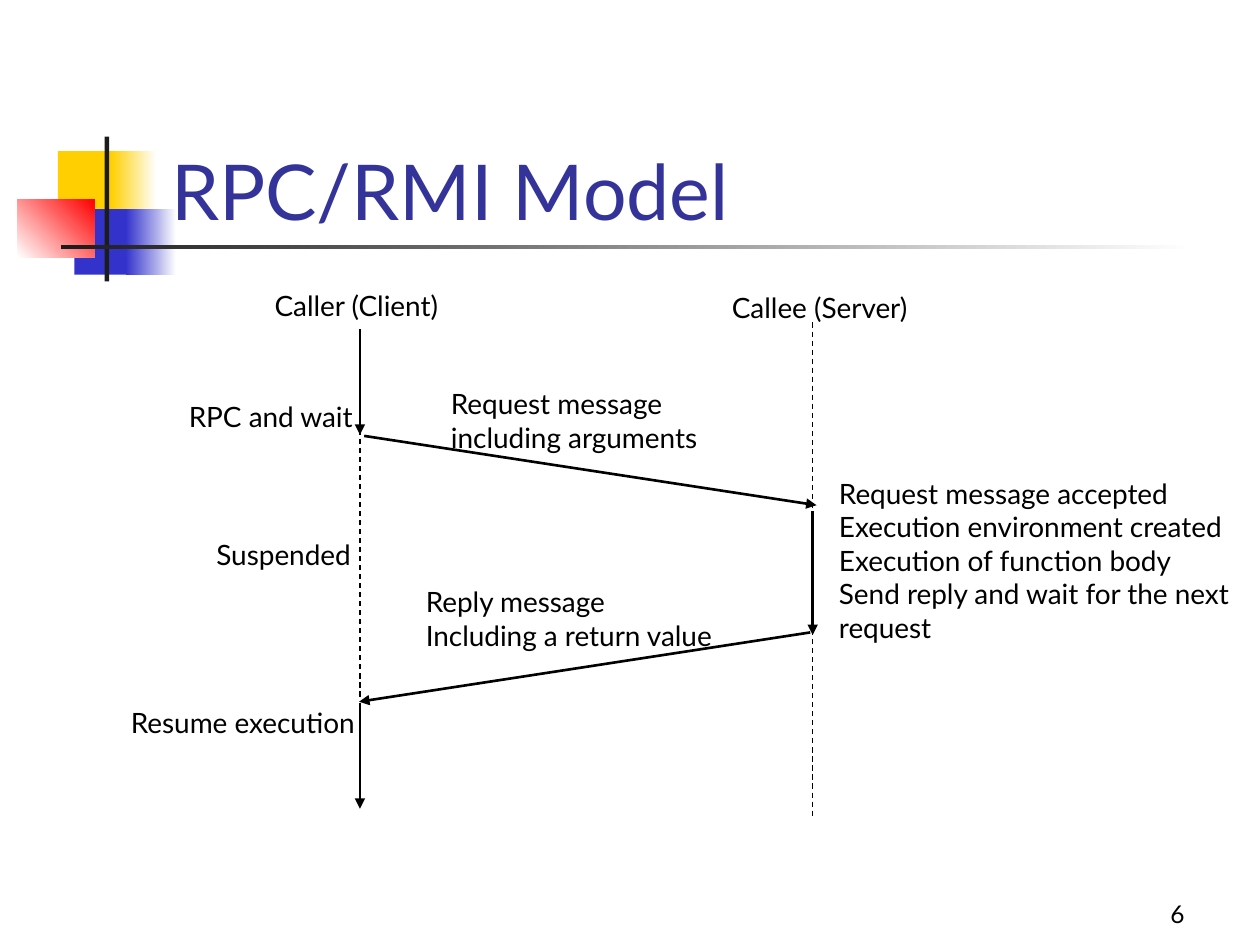
from pptx import Presentation
from pptx.dml.color import RGBColor
from pptx.enum.dml import MSO_LINE as Dash
from pptx.enum.shapes import MSO_CONNECTOR as Conn, MSO_SHAPE as Shape
from pptx.enum.text import MSO_ANCHOR as Anchor, PP_ALIGN as Align
from pptx.oxml.ns import qn
from pptx.util import Pt
from lxml.etree import SubElement

FONT = "Lato"
BLACK = RGBColor(0x00, 0x00, 0x00)
WHITE = RGBColor(0xFF, 0xFF, 0xFF)
INK = RGBColor(0x1C, 0x1C, 0x1C)
GOLD = RGBColor(0xFF, 0xCF, 0x01)
BLUE = RGBColor(0x33, 0x33, 0xCC)
RED = RGBColor(0xFF, 0x00, 0x00)
NAVY = RGBColor(0x33, 0x33, 0x99)

# Corner ornament: left, top, width, height, colours, gradient angle
BLOCKS = [
    (33.1, 86.4, 34.6, 37.4, [GOLD], 0),
    (63.4, 86.4, 25.9, 37.4, [GOLD, WHITE], 0),
    (42.5, 119.5, 33.1, 37.4, [BLUE], 0),
    (72, 119.5, 28.8, 37.4, [BLUE, WHITE], 0),
    (10.1, 113.8, 43.9, 33.1, [WHITE, RED], 45),
    (59.8, 78, 2.6, 82.8, [INK], 0),
    (34.8, 140, 648, 2.6, [INK, WHITE], 0),
]

# Time axes of the two parties
CALLER, CALLEE = 205.7, 464.4

# Lines: start x, y, end x, y
SOLID = [
    (CALLER, 187.9, CALLER, 248.4),
    (CALLER, 401.8, CALLER, 462.2),
    (CALLEE, 292.3, CALLEE, 362.9),
    (208.1, 249.1, 466.6, 288.7),
    (463, 361.4, 205.2, 401),
]
DASHED = [
    (CALLER, 245.5, CALLER, 398.2),
    (CALLEE, 184.3, CALLEE, 291.6),
    (CALLEE, 360, CALLEE, 467.3),
]

# Labels: left, top, width, lines
LABELS = [
    (149.8, 161.3, 113.8, ["Caller (Client)"]),
    (411.1, 162.7, 121, ["Callee (Server)"]),
    (100.8, 224.6, 112.3, ["RPC and wait"]),
    (250.6, 217.4, 169.9, ["Request message", "including arguments"]),
    (236.2, 330.5, 193.7, ["Reply message", "Including a return value"]),
    (116.6, 303.8, 97.9, ["Suspended"]),
    (67.7, 399.6, 151.9, ["Resume execution"]),
    (472.3, 268.6, 253.4, [
        "Request message accepted",
        "Execution environment created",
        "Execution of function body",
        "Send reply and wait for the next",
        "request",
    ]),
]

deck = Presentation()
deck.slide_width, deck.slide_height = Pt(720), Pt(540)
slide = deck.slides.add_slide(deck.slide_layouts[6])
shapes = slide.shapes


def add_block(x, y, w, h, tones, angle):
    block = shapes.add_shape(Shape.RECTANGLE, Pt(x), Pt(y), Pt(w), Pt(h))
    block.shadow.inherit = False
    block.line.fill.background()
    fill = block.fill
    if len(tones) == 1:
        fill.solid()
        fill.fore_color.rgb = tones[0]
    else:
        fill.gradient()
        fill.gradient_angle = angle
        for stop, tone in zip(fill.gradient_stops, tones):
            stop.color.rgb = tone


def add_line(x1, y1, x2, y2, solid):
    link = shapes.add_connector(Conn.STRAIGHT, Pt(x1), Pt(y1), Pt(x2), Pt(y2))
    link.line.color.rgb = BLACK
    link.line.width = Pt(1.5 if solid else 0.75)
    if solid:
        SubElement(link.line._get_or_add_ln(), qn("a:tailEnd"), type="triangle")
    else:
        link.line.dash_style = Dash.DASH
    SubElement(link._element.spPr, qn("a:effectLst"))


def add_text(x, y, w, h, lines, size=16, color=BLACK, align=Align.LEFT,
             anchor=Anchor.TOP):
    frame = shapes.add_textbox(Pt(x), Pt(y), Pt(w), Pt(h)).text_frame
    frame.word_wrap = True
    frame.vertical_anchor = anchor
    frame.text = "\n".join(lines)
    for para in frame.paragraphs:
        para.alignment = align
        for run in para.runs:
            run.font.name, run.font.size = FONT, Pt(size)
            run.font.color.rgb = color


# Ornament, page number and title
for block in BLOCKS:
    add_block(*block)
add_text(534.2, 498.2, 149.8, 36, ["6"], 14, align=Align.RIGHT,
         anchor=Anchor.BOTTOM)
add_text(90.7, 48.2, 613.4, 90, ["RPC/RMI Model"], 44, NAVY,
         anchor=Anchor.BOTTOM)

# Sequence diagram
for ends in SOLID:
    add_line(*ends, solid=True)
for ends in DASHED:
    add_line(*ends, solid=False)
for x, y, w, lines in LABELS:
    add_text(x, y, w, 7.4 + 19.2 * len(lines), lines)

deck.save("out.pptx")
